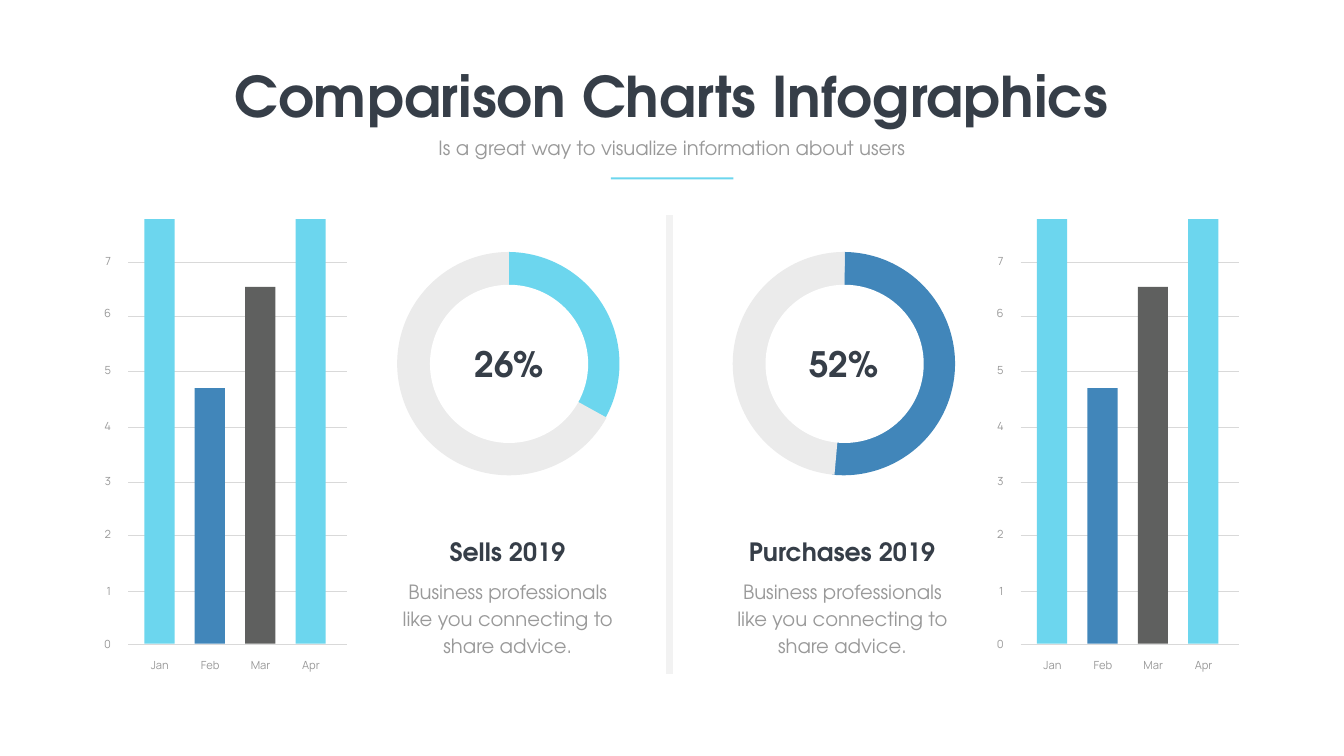
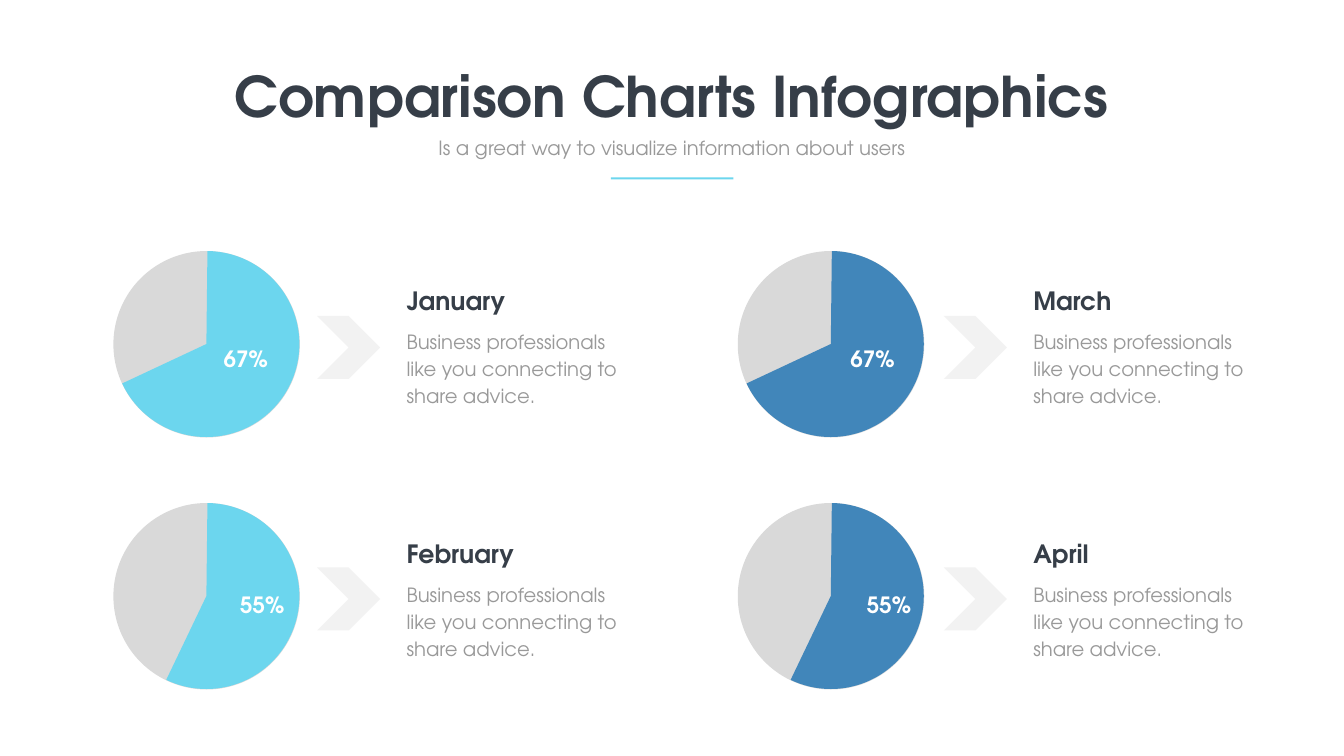
"""Build two comparison infographic slides: bars with rings, and monthly pies."""
from lxml.etree import SubElement
from pptx import Presentation
from pptx.dml.color import RGBColor
from pptx.enum.shapes import MSO_CONNECTOR, MSO_SHAPE
from pptx.enum.text import MSO_AUTO_SIZE, PP_ALIGN
from pptx.oxml.ns import qn
from pptx.util import Pt

COLORS = {
    "dark": "363E48",
    "grey": "999999",
    "cyan": "6CD6EE",
    "blue": "4186BA",
    "charcoal": "5F605F",
    "grid": "D9D9D9",
    "ring": "EBEBEB",
    "pale": "F2F2F2",
    "white": "FFFFFF",
}
HEADING_FONT = "TeX Gyre Adventor"
AXIS_FONT = "Manrope"
BODY = "Business professionals like you connecting to share advice."
ANGLE_UNIT = 0.6


def add_block(shapes, kind, box, color, angles=()):
    """Add a plain filled shape, with start and end angles for a pie."""
    shape = shapes.add_shape(kind, *[Pt(length) for length in box])
    shape.shadow.inherit = False
    shape.fill.solid()
    shape.fill.fore_color.rgb = RGBColor.from_string(COLORS[color])
    shape.line.fill.background()
    for index, angle in enumerate(angles):
        shape.adjustments[index] = angle * ANGLE_UNIT


def add_text(shapes, text, box, size, color, bold=False, align=PP_ALIGN.CENTER,
             font=HEADING_FONT, spacing=None, wrap=True):
    """Add a one-paragraph text box."""
    text_frame = shapes.add_textbox(*[Pt(length) for length in box]).text_frame
    text_frame.word_wrap = wrap
    text_frame.auto_size = MSO_AUTO_SIZE.SHAPE_TO_FIT_TEXT
    text_frame.text = text
    paragraph = text_frame.paragraphs[0]
    paragraph.alignment = align
    if spacing:
        paragraph.line_spacing = Pt(spacing)
    run_font = paragraph.runs[0].font
    run_font.name = font
    run_font.size = Pt(size)
    run_font.bold = bold
    run_font.color.rgb = RGBColor.from_string(COLORS[color])


presentation = Presentation()
presentation.slide_width = Pt(1920)
presentation.slide_height = Pt(1080)
slides = [presentation.slides.add_slide(presentation.slide_layouts[6]) for _ in range(2)]

for slide in slides:
    add_text(slide.shapes, "Comparison Charts Infographics", (322, 84.2, 1275, 104.4),
             80, "dark", bold=True, wrap=False)
    add_text(slide.shapes, "Is a great way to visualize information about users",
             (615.6, 190.8, 688.3, 41), 28, "grey")
    add_block(slide.shapes, MSO_SHAPE.RECTANGLE, (872.6, 253.4, 175, 3), "cyan")

comparison, months = [slide.shapes for slide in slides]

grid_tops = [375, 451.5, 530.6, 609.8, 689, 765.4, 844.6, 921]
value_tops = [343.5, 418.3, 499.7, 578.9, 658, 733, 815, 890]
bar_base = 919.5
bars = [("Jan", 313.2, "cyan"), ("Feb", 554.4, "blue"),
        ("Mar", 409.7, "charcoal"), ("Apr", 313.2, "cyan")]
chart_lefts = [122.4, 1397.6]
charts = [comparison.add_group_shape().shapes for _ in chart_lefts]

lines = [(comparison, 956.2, 307.4, 956.2, 963.4, "pale", 10)]
for chart, left in zip(charts, chart_lefts):
    lines += [(chart, left + 60.5, top, left + 373, top, "grid", 1) for top in grid_tops]
for shapes, start_x, start_y, end_x, end_y, color, width in lines:
    connector = shapes.add_connector(MSO_CONNECTOR.STRAIGHT, Pt(start_x), Pt(start_y),
                                     Pt(end_x), Pt(end_y))
    connector.line.color.rgb = RGBColor.from_string(COLORS[color])
    connector.line.width = Pt(width)
    SubElement(connector.element.spPr, qn("a:effectLst"))

for chart, left in zip(charts, chart_lefts):
    for index, (month, top, color) in enumerate(bars):
        bar_left = left + 83.8 + 72 * index
        add_block(chart, MSO_SHAPE.RECTANGLE, (bar_left, top, 43.2, bar_base - top), color)
        add_text(chart, month, (bar_left - 13.2, 921, 70.6, 48), 16, "grey",
                 font=AXIS_FONT, spacing=35.6)
    for value, top in zip(range(7, -1, -1), value_tops):
        add_text(chart, str(value), (left, top, 43.2, 47.5), 16, "grey",
                 align=PP_ALIGN.RIGHT, font=AXIS_FONT, spacing=35.6)

rings = [(566, "cyan", 29.5, "26%", "Sells 2019"),
         (1045.4, "blue", 95.7, "52%", "Purchases 2019")]
for index, (left, color, end_angle, percent, heading) in enumerate(rings):
    ring = comparison.add_group_shape().shapes
    add_block(ring, MSO_SHAPE.PIE, (left, 360, 319, 319), color, (270.65, end_angle))
    add_block(ring, MSO_SHAPE.PIE, (left + 1.4, 360, 319, 319), "ring",
              (end_angle - 0.6, 270.07))
    add_block(ring, MSO_SHAPE.OVAL, (left + 48.2, 406.8, 226, 226), "white")
    text_left = 563 + 478 * index
    add_text(comparison, percent, (text_left + 107.3, 485.3, 114.5, 67.7), 50, "dark",
             bold=True, wrap=False)
    add_text(comparison, heading, (text_left + 3.6, 763.2, 316.8, 51), 36, "dark", bold=True)
    add_text(comparison, BODY, (text_left, 819.4, 324.7, 123.8), 28, "grey", spacing=38.6)

columns = [("cyan", 162, 0, 344, ["January", "February"]),
           ("blue", 1054, 895.3, 329, ["March", "April"])]
rows = [("67%", 154.9, 311.8, 488.9), ("55%", 115.6, 335.5, 840.2)]
for color, pie_left, text_shift, body_width, names in columns:
    for index, (percent, end_angle, percent_left, percent_top) in enumerate(rows):
        pie = months.add_group_shape().shapes
        pie_top = 358.6 + 360 * index
        add_block(pie, MSO_SHAPE.OVAL, (pie_left, pie_top, 266.4, 266.4), "grid")
        add_block(pie, MSO_SHAPE.PIE, (pie_left, pie_top, 265.7, 265.7), color,
                  (270.65, end_angle))
        add_text(months, percent, (percent_left + text_shift, percent_top, 78.5, 46),
                 32, "white", bold=True, wrap=False)
        add_block(months, MSO_SHAPE.CHEVRON,
                  (453 + text_shift, 451.4 + 359.3 * index, 90, 90), "pale")
        text_left = 573.8 + text_shift
        add_text(months, names[index], (text_left, 404 + 361 * index, 344, 51),
                 36, "dark", bold=True, align=PP_ALIGN.LEFT)
        add_text(months, BODY, (text_left, 463 + 360.7 * index, body_width, 121.7),
                 28, "grey", align=PP_ALIGN.LEFT, spacing=38.6)

presentation.save("out.pptx")
